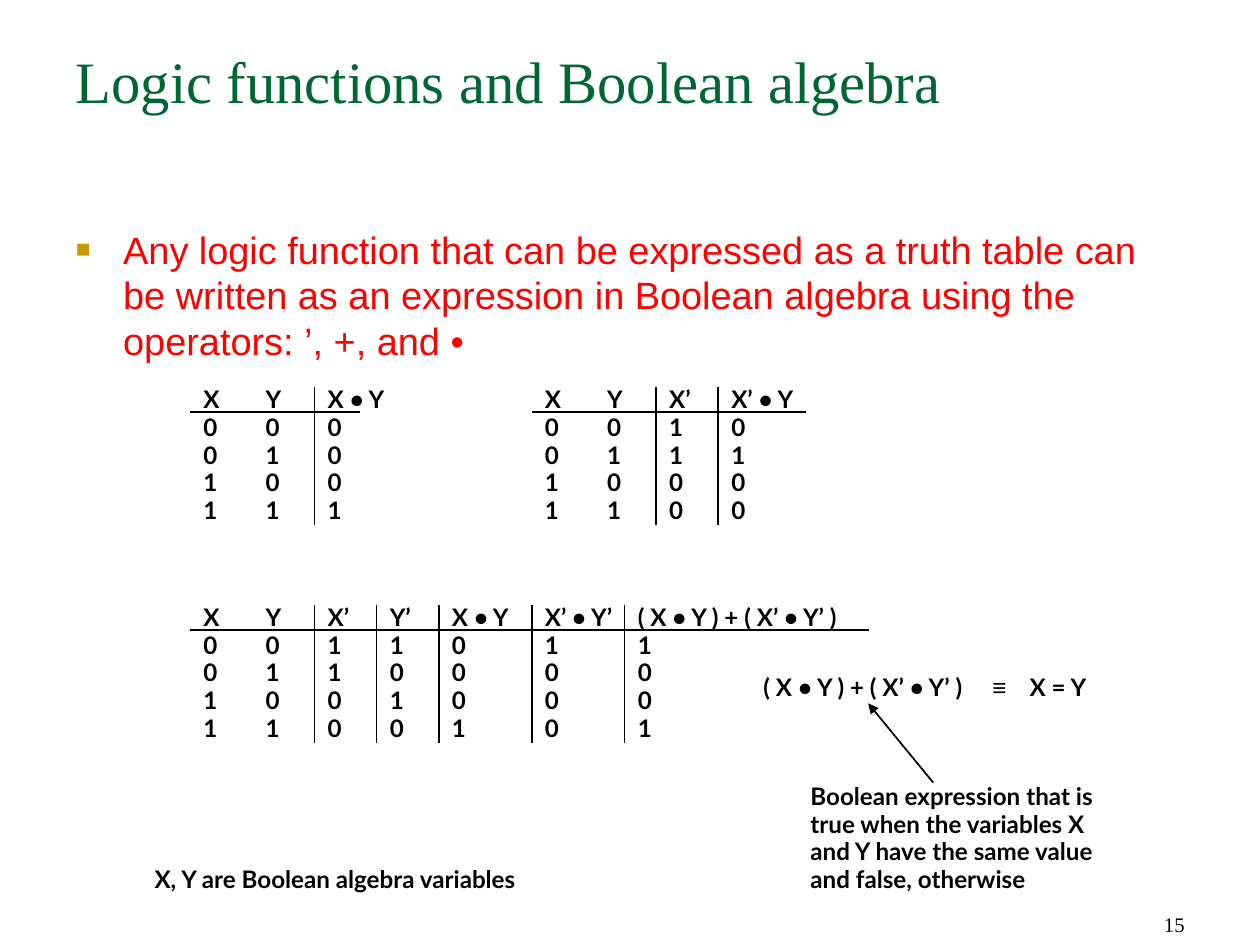
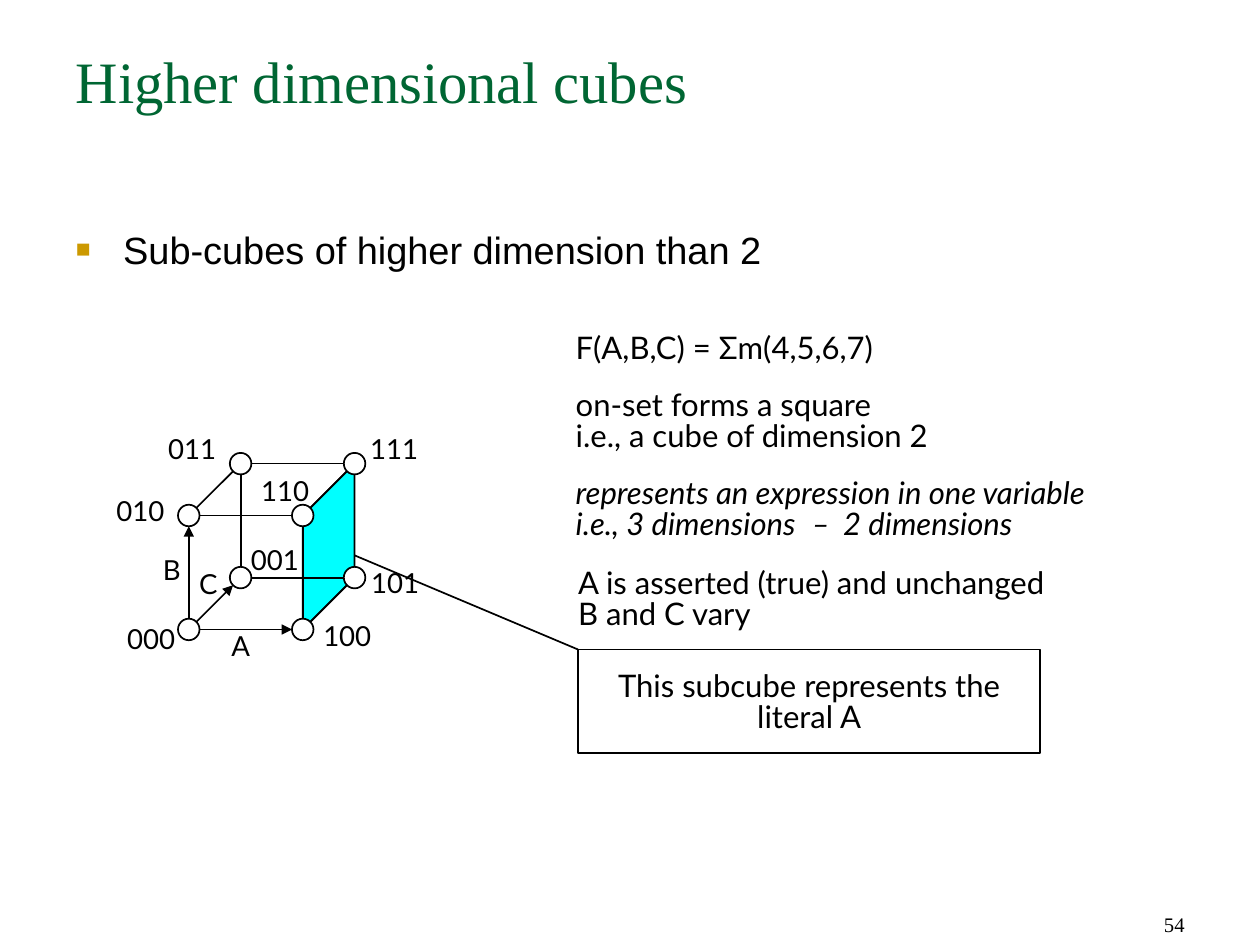
from itertools import combinations
from math import hypot

from lxml import etree
from pptx import Presentation
from pptx.dml.color import RGBColor
from pptx.enum.shapes import MSO_CONNECTOR, MSO_SHAPE
from pptx.enum.text import MSO_ANCHOR as Anchor, PP_ALIGN as Align
from pptx.oxml import parse_xml
from pptx.oxml.ns import nsdecls, qn
from pptx.util import Cm, Pt

COLORS = {
    "title": "006633",
    "bullet": "CC9900",
    "emphasis": "FF0000",
    "ink": "000000",
    "face": "00FFFF",
    "node": "FFFFFF",
}
RGB = {name: RGBColor.from_string(value) for name, value in COLORS.items()}
NAMESPACE = nsdecls("a")
BULLET = [
    f'<a:buClr {NAMESPACE}><a:srgbClr val="{COLORS["bullet"]}"/></a:buClr>',
    f'<a:buSzPct {NAMESPACE} val="65000"/>',
    f'<a:buFont {NAMESPACE} typeface="Arial"/>',
    f'<a:buChar {NAMESPACE} char="■"/>',
]


def write(frame, texts, size, font="Lato", color="ink", bold=False, spacing=None,
          align=Align.LEFT, margins=(0.05, 0.08), extras=(), tabs=()):
    """Fill a text frame with one paragraph per text."""
    frame.word_wrap = True
    frame.margin_left = frame.margin_right = Cm(margins[0])
    frame.margin_top = frame.margin_bottom = Cm(margins[1])
    stops = "".join(f'<a:tab pos="{Cm(stop)}" algn="l"/>' for stop in tabs)
    tab_list = [f"<a:tabLst {NAMESPACE}>{stops}</a:tabLst>"] if tabs else []
    for index, text in enumerate(texts):
        paragraph = frame.add_paragraph() if index else frame.paragraphs[0]
        paragraph.text = text
        paragraph.alignment = align
        if spacing:
            paragraph.line_spacing = Pt(spacing)
        for xml in [*extras, *tab_list]:
            paragraph._p.get_or_add_pPr().append(parse_xml(xml))
        paragraph.font.name = font
        paragraph.font.size = Pt(size)
        paragraph.font.bold = bold
        paragraph.font.color.rgb = RGB[color]
    return frame.paragraphs


def add_line(shapes, start, end, arrow=False):
    """Draw a thin straight line, with an optional arrowhead at its end."""
    line = shapes.add_connector(MSO_CONNECTOR.STRAIGHT, *map(Cm, start + end))
    line.line.color.rgb = RGB["ink"]
    line.line.width = Pt(1)
    if arrow:
        etree.SubElement(line.line._get_or_add_ln(), qn("a:tailEnd"), type="triangle")
    etree.SubElement(line._element.spPr, qn("a:effectLst"))


presentation = Presentation()
presentation.slide_width, presentation.slide_height = Cm(25.76), Cm(19.3)

# Title, bullet and number of every slide
pages = [
    ("Logic functions and Boolean algebra",
     "Any logic function that can be expressed as a truth table can be written as "
     "an expression in Boolean algebra using the operators: ’, +, and •",
     "emphasis", "15"),
    ("Higher dimensional cubes", "Sub-cubes of higher dimension than 2", "ink", "54"),
]
for title, statement, color, number in pages:
    slide = presentation.slides.add_slide(presentation.slide_layouts[6])
    box = slide.shapes.add_textbox(Cm(18.45), Cm(17.99), Cm(6.02), Cm(1.3))
    box.text_frame.vertical_anchor = Anchor.BOTTOM
    write(box.text_frame, [number], 12, "Times New Roman", align=Align.RIGHT,
          margins=(0.25, 0.13))
    box = slide.shapes.add_textbox(Cm(1.3), Cm(0.78), Cm(23.16), Cm(3.2))
    write(box.text_frame, [title], 34, "Times New Roman", "title", margins=(0.25, 0.13))
    box = slide.shapes.add_textbox(Cm(1.3), Cm(4.5), Cm(23.16), Cm(12.75))
    paragraph = write(box.text_frame, [statement], 22, "Arial", color,
                      margins=(0.25, 0.13), extras=BULLET)[0]
    properties = paragraph._p.get_or_add_pPr()
    properties.set("marL", str(Cm(0.97)))
    properties.set("indent", str(-Cm(0.97)))

logic_slide, cube_slide = presentation.slides

# Truth tables: left, top, column widths, length of the header rule, rows
truth_tables = [
    (3.89, 7.9, [1.27, 1.27, 1.52], 3.48,
     ["X|Y|X • Y", "0|0|0", "0|1|0", "1|0|0", "1|1|1"]),
    (10.87, 7.9, [1.27, 1.27, 1.27, 1.8], 5.61,
     ["X|Y|X’|X’ • Y", "0|0|1|0", "0|1|1|1", "1|0|0|0", "1|1|0|0"]),
    (3.89, 12.35, [1.27, 1.27, 1.27, 1.27, 1.9, 1.9, 4.99], 13.87,
     ["X|Y|X’|Y’|X • Y|X’ • Y’|( X • Y ) + ( X’ • Y’ )", "0|0|1|1|0|1|1",
      "0|1|1|0|0|0|0", "1|0|0|1|0|0|0", "1|1|0|0|1|0|1"]),
]
ROW_HEIGHT = 0.56
for left, top, widths, rule, rows in truth_tables:
    frame = logic_slide.shapes.add_table(
        len(rows), len(widths), Cm(left), Cm(top), Cm(sum(widths)),
        Cm(ROW_HEIGHT * len(rows)))
    table = frame.table
    table.first_row = table.horz_banding = False
    # The style without fills and grid
    style = frame._element.find(".//" + qn("a:tableStyleId"))
    style.text = "{2D5ABB26-0587-4C30-8999-92F81FD0307C}"
    for column, width in zip(table.columns, widths):
        column.width = Cm(width)
    for row_index, row in enumerate(rows):
        table.rows[row_index].height = Cm(ROW_HEIGHT)
        for column_index, value in enumerate(row.split("|")):
            cell = table.cell(row_index, column_index)
            write(cell.text_frame, [value], 14, bold=True, spacing=16)
            cell.margin_left = Cm(0.27)
            cell.margin_right = cell.margin_top = cell.margin_bottom = 0
            cell.fill.background()
    # Rule under the header, a divider before every result column
    add_line(logic_slide.shapes, (left, top + 0.53), (left + rule, top + 0.53))
    for count in range(2, len(widths)):
        x = left + sum(widths[:count])
        add_line(logic_slide.shapes, (x, top + 0.02), (x, top + 2.84))

# Remarks on the tables
remarks = [
    (3.11, 17.63, 9.27, 0.91, "X, Y are Boolean algebra variables"),
    (16.52, 15.93, 7.9, 2.62,
     "Boolean expression that is\ntrue when the variables X\n"
     "and Y have the same value\nand false, otherwise"),
]
for left, top, width, height, text in remarks:
    box = logic_slide.shapes.add_textbox(Cm(left), Cm(top), Cm(width), Cm(height))
    write(box.text_frame, [text], 14, bold=True, spacing=16)

# Equivalence, with its sign and right side on tab stops
box = logic_slide.shapes.add_textbox(Cm(15.56), Cm(13.69), Cm(7.9), Cm(0.91))
paragraph = write(box.text_frame, ["( X • Y ) + ( X’ • Y’ )\t"], 14, bold=True, spacing=16,
                  tabs=(4.68, 5.44))[0]
sign = paragraph.add_run()
sign.text = "≡"
sign.font.name = "Arial"
paragraph.add_run().text = "\tX = Y"
add_line(logic_slide.shapes, (19.08, 16), (17.75, 14.38), arrow=True)

# Explanation of the cube
box = cube_slide.shapes.add_textbox(Cm(11.72), Cm(6.77), Cm(12.9), Cm(4.6))
paragraphs = write(box.text_frame, [
    "F(A,B,C) = Σm(4,5,6,7)",
    "on-set forms a square\ni.e., a cube of dimension 2",
    "represents an expression in one variable\ni.e., 3 dimensions\t–\t2 dimensions",
], 18, spacing=18, tabs=(4.83, 5.47))
for paragraph in paragraphs[1:]:
    paragraph.space_before = Pt(15)
paragraphs[-1].font.italic = True
box = cube_slide.shapes.add_textbox(Cm(11.77), Cm(11.56), Cm(10.95), Cm(1.42))
write(box.text_frame, ["A is asserted (true) and unchanged", "B and C vary"], 18, spacing=18)

# Callout to the face of the cube
callout = cube_slide.shapes.add_shape(
    MSO_SHAPE.RECTANGLE, Cm(11.82), Cm(13.28), Cm(9.45), Cm(2.11))
callout.shadow.inherit = False
callout.fill.background()
callout.line.color.rgb = RGB["ink"]
callout.line.width = Pt(1)
callout.text_frame.vertical_anchor = Anchor.MIDDLE
write(callout.text_frame, ["This subcube represents the", "literal A"], 18, spacing=18,
      align=Align.CENTER)
callout.text_frame.margin_top = Cm(0.2)
add_line(cube_slide.shapes, (11.82, 13.28), (6.88, 11.2), arrow=True)

# Cube corners: A runs right, B up, C to the back
EDGE, DEPTH, RADIUS = 2.33, 1.06, 0.22
corners = {}
for code in range(8):
    name = f"{code:03b}"
    a, b, c = map(int, name)
    corners[name] = (3.86 + EDGE * a + DEPTH * c, 12.87 - EDGE * b - DEPTH * c)
cube = cube_slide.shapes.add_group_shape().shapes

# Shaded face where A is 1
outline = [tuple(map(Cm, corners[name])) for name in ("100", "101", "111", "110")]
builder = cube.build_freeform(*outline[0])
builder.add_line_segments(outline[1:], close=True)
face = builder.convert_to_shape()
face.shadow.inherit = False
face.fill.solid()
face.fill.fore_color.rgb = RGB["face"]
face.line.color.rgb = RGB["ink"]
face.line.width = Pt(1)

# Edges join corners that differ in one digit; arrows leave 000
for first, second in combinations(corners, 2):
    if sum(p != q for p, q in zip(first, second)) == 1:
        (x1, y1), (x2, y2) = corners[first], corners[second]
        ratio = RADIUS / hypot(x2 - x1, y2 - y1)
        dx, dy = (x2 - x1) * ratio, (y2 - y1) * ratio
        add_line(cube, (x1 + dx, y1 + dy), (x2 - dx, y2 - dy), arrow=first == "000")

# Corner nodes
for x, y in corners.values():
    node = cube.add_shape(MSO_SHAPE.OVAL, Cm(x - RADIUS), Cm(y - RADIUS),
                          Cm(2 * RADIUS), Cm(2 * RADIUS))
    node.shadow.inherit = False
    node.fill.solid()
    node.fill.fore_color.rgb = RGB["node"]
    node.line.color.rgb = RGB["ink"]
    node.line.width = Pt(1)

# Labels of axes and corners
labels = {
    "A": (4.68, 12.9), "B": (3.28, 11.34), "C": (4.02, 11.63),
    "000": (2.55, 12.75), "001": (5.08, 11.13), "010": (2.33, 10.13),
    "011": (3.39, 8.86), "100": (6.56, 12.68), "101": (7.54, 11.61),
    "110": (5.29, 9.73), "111": (7.52, 8.86),
}
for text, (left, top) in labels.items():
    box = cube.add_textbox(Cm(left), Cm(top), Cm(2), Cm(0.91))
    write(box.text_frame, [text], 16, spacing=16)

presentation.save("out.pptx")
